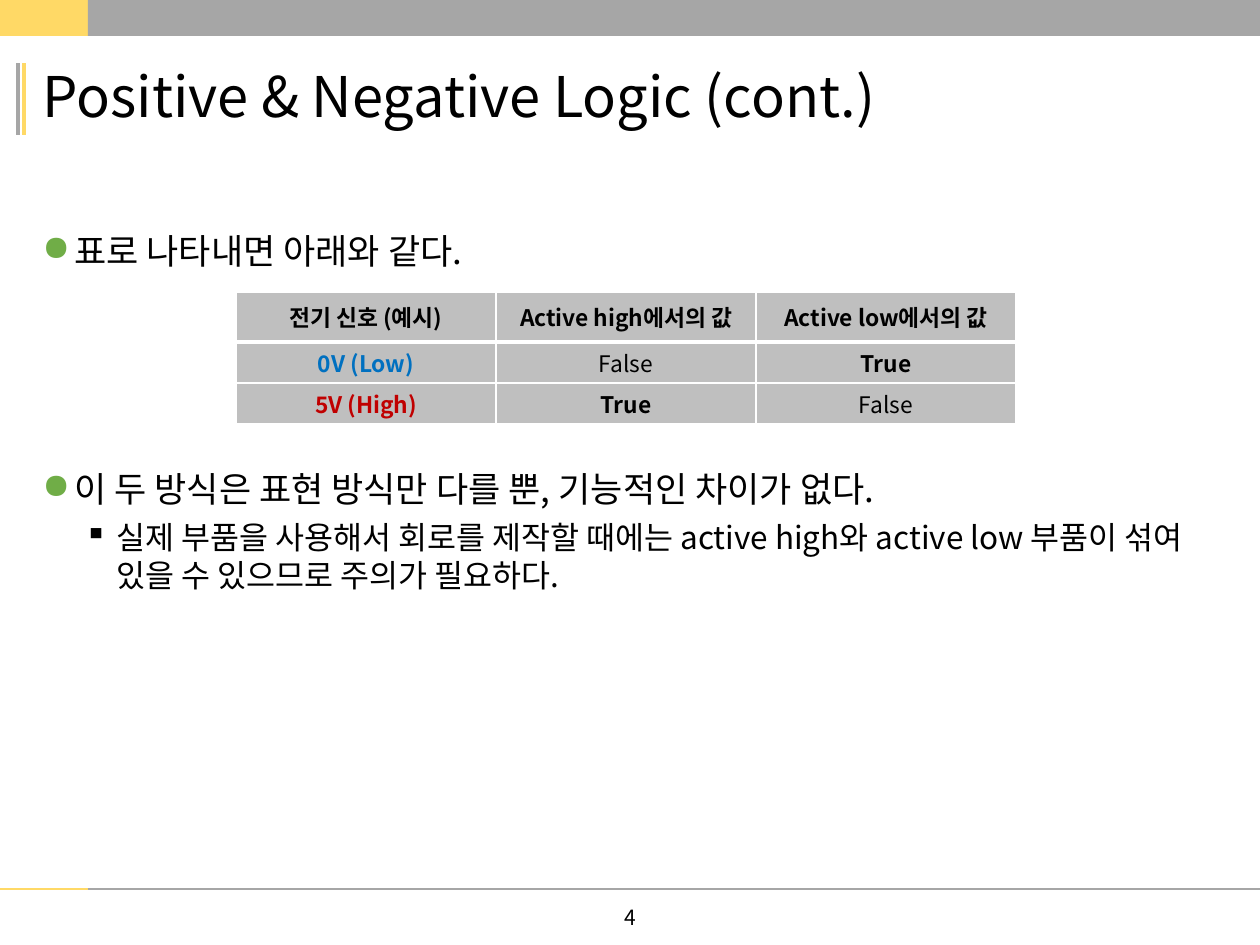
from dataclasses import dataclass

import pptx
import pptx.dml.color
import pptx.enum.shapes
import pptx.enum.text
import pptx.oxml
import pptx.oxml.ns
import pptx.util

FONT = "Noto Sans CJK KR"
COLORS = {
    "yellow": "FFD966", "gray": "A6A6A6", "cell": "BFBFBF", "white": "FFFFFF",
    "black": "000000", "green": "70AD47", "low": "0070C0", "high": "C00000",
}
ALIGN = pptx.enum.text.PP_ALIGN
MIDDLE = pptx.enum.text.MSO_ANCHOR.MIDDLE
WIDTH, HEIGHT = 1260, 945
ACCENT_WIDTH = 88
FOOTER_Y = 889


@dataclass(frozen=True)
class Box:
    left: int
    top: int
    width: int
    height: int

    def emu(self) -> tuple:
        return px(self.left), px(self.top), px(self.width), px(self.height)


@dataclass(frozen=True)
class Rule:
    x1: int
    y1: int
    x2: int
    y2: int
    color: str
    weight: float


@dataclass(frozen=True)
class Bullet:
    text: str
    size: int
    mark: str
    color: str
    indent: int
    before: int


@dataclass(frozen=True)
class Entry:
    text: str
    bold: bool = False
    color: str = "black"


def px(length: int) -> int:
    return round(length * 914400 / 126)


def rgb(name: str) -> pptx.dml.color.RGBColor:
    return pptx.dml.color.RGBColor.from_string(COLORS[name])


def set_values(target, values: dict) -> None:
    for name, value in values.items():
        setattr(target, name, value)


def write(paragraph, text: str, size: int, color: str = "black", bold: bool = False) -> None:
    run = paragraph.add_run()
    run.text = text
    set_values(run.font, {"name": FONT, "size": pptx.util.Pt(size), "bold": bold})
    run.font.color.rgb = rgb(color)
    east_asian = pptx.oxml.parse_xml(
        f'<a:ea {pptx.oxml.ns.nsdecls("a")} typeface="{FONT}"/>')
    run.font._element.find(pptx.oxml.ns.qn("a:latin")).addnext(east_asian)


def add_band(slide, box: Box, color: str) -> None:
    band = slide.shapes.add_shape(pptx.enum.shapes.MSO_SHAPE.RECTANGLE, *box.emu())
    band.shadow.inherit = False
    band.fill.solid()
    band.fill.fore_color.rgb = rgb(color)
    band.line.fill.background()


def add_rule(slide, rule: Rule) -> None:
    line = slide.shapes.add_connector(
        pptx.enum.shapes.MSO_CONNECTOR.STRAIGHT,
        px(rule.x1), px(rule.y1), px(rule.x2), px(rule.y2))
    line.line.color.rgb = rgb(rule.color)
    line.line.width = pptx.util.Pt(rule.weight)
    line._element.spPr.append(
        pptx.oxml.parse_xml(f'<a:effectLst {pptx.oxml.ns.nsdecls("a")}/>'))


def add_bullets(slide, box: Box, bullets: list[Bullet]) -> None:
    frame = slide.shapes.add_textbox(*box.emu()).text_frame
    frame.word_wrap = True
    for index, bullet in enumerate(bullets):
        paragraph = frame.add_paragraph() if index else frame.paragraphs[0]
        set_values(paragraph, {
            "line_spacing": pptx.util.Pt(bullet.size * 1.2),
            "space_before": pptx.util.Pt(bullet.before),
        })
        write(paragraph, bullet.text, bullet.size)
        properties = paragraph._p.get_or_add_pPr()
        properties.set("marL", str(px(bullet.indent)))
        properties.set("indent", str(-px(32)))
        ns = pptx.oxml.ns.nsdecls("a")
        for xml in (
            f'<a:buClr {ns}><a:srgbClr val="{COLORS[bullet.color]}"/></a:buClr>',
            f'<a:buChar {ns} char="{bullet.mark}"/>',
        ):
            properties.append(pptx.oxml.parse_xml(xml))


def add_borders(cell, weights: dict[str, int]) -> None:
    for side, weight in weights.items():
        cell._tc.get_or_add_tcPr().append(pptx.oxml.parse_xml(
            f'<a:ln{side} {pptx.oxml.ns.nsdecls("a")} w="{pptx.util.Pt(weight)}">'
            f'<a:solidFill><a:srgbClr val="{COLORS["white"]}"/></a:solidFill></a:ln{side}>'))


def add_logic_table(slide, box: Box, row_heights: list[int], rows: list[list[Entry]]) -> None:
    table = slide.shapes.add_table(len(rows), len(rows[0]), *box.emu()).table
    set_values(table, {"first_row": True, "horz_banding": False})
    for column in table.columns:
        column.width = px(box.width // len(rows[0]))
    for r, (height, entries) in enumerate(zip(row_heights, rows)):
        table.rows[r].height = px(height)
        for c, entry in enumerate(entries):
            cell = table.cell(r, c)
            set_values(cell, {"vertical_anchor": MIDDLE, "margin_top": 0, "margin_bottom": 0})
            add_borders(cell, {"L": 1, "R": 1, "T": 3 if r == 1 else 1, "B": 1 if r else 3})
            cell.fill.solid()
            cell.fill.fore_color.rgb = rgb("cell")
            paragraph = cell.text_frame.paragraphs[0]
            paragraph.alignment = ALIGN.CENTER
            write(paragraph, entry.text, 13, entry.color, entry.bold)


def add_title(slide, box: Box, text: str) -> None:
    title = slide.shapes.title
    set_values(title, dict(zip(("left", "top", "width", "height"), box.emu())))
    set_values(title.text_frame, {
        "vertical_anchor": MIDDLE, "word_wrap": True,
        "auto_size": pptx.enum.text.MSO_AUTO_SIZE.NONE})
    paragraph = title.text_frame.paragraphs[0]
    set_values(paragraph, {"alignment": ALIGN.LEFT, "line_spacing": 0.9})
    write(paragraph, text, 32)


def add_page_number(slide, box: Box, number: str) -> None:
    frame = slide.shapes.add_textbox(*box.emu()).text_frame
    set_values(frame, {"vertical_anchor": MIDDLE, "word_wrap": True})
    frame.paragraphs[0].alignment = ALIGN.CENTER
    write(frame.paragraphs[0], number, 12)


def main() -> None:
    deck = pptx.Presentation()
    set_values(deck, {"slide_width": px(WIDTH), "slide_height": px(HEIGHT)})
    slide = deck.slides.add_slide(deck.slide_layouts[5])

    add_band(slide, Box(0, 0, ACCENT_WIDTH, 36), "yellow")
    add_band(slide, Box(ACCENT_WIDTH, 0, WIDTH - ACCENT_WIDTH, 36), "gray")
    for rule in (
        Rule(24, 63, 24, 135, "yellow", 2.25),
        Rule(18, 63, 18, 135, "gray", 2.25),
        Rule(0, FOOTER_Y, ACCENT_WIDTH, FOOTER_Y, "yellow", 1.5),
        Rule(ACCENT_WIDTH, FOOTER_Y, WIDTH, FOOTER_Y, "gray", 1.5),
    ):
        add_rule(slide, rule)

    add_title(slide, Box(30, 63, 1191, 72), "Positive & Negative Logic (cont.)")
    add_bullets(slide, Box(30, 223, 1191, 55), [
        Bullet("표로 나타내면 아래와 같다.", 20, "●", "green", 32, 0),
    ])
    add_logic_table(slide, Box(236, 292, 780, 132), [50, 41, 41], [
        [Entry("전기 신호 (예시)", True), Entry("Active high에서의 값", True),
         Entry("Active low에서의 값", True)],
        [Entry("0V (Low)", True, "low"), Entry("False"), Entry("True", True)],
        [Entry("5V (High)", True, "high"), Entry("True", True), Entry("False")],
    ])
    add_bullets(slide, Box(30, 461, 1191, 150), [
        Bullet("이 두 방식은 표현 방식만 다를 뿐, 기능적인 차이가 없다.", 20, "●", "green", 32, 0),
        Bullet("실제 부품을 사용해서 회로를 제작할 때에는 active high와 active low 부품이 "
               "섞여 있을 수 있으므로 주의가 필요하다.", 18, "▪", "black", 74, 5),
    ])
    add_page_number(slide, Box(441, 890, 378, 55), "4")
    deck.save("out.pptx")


if __name__ == "__main__":
    main()
